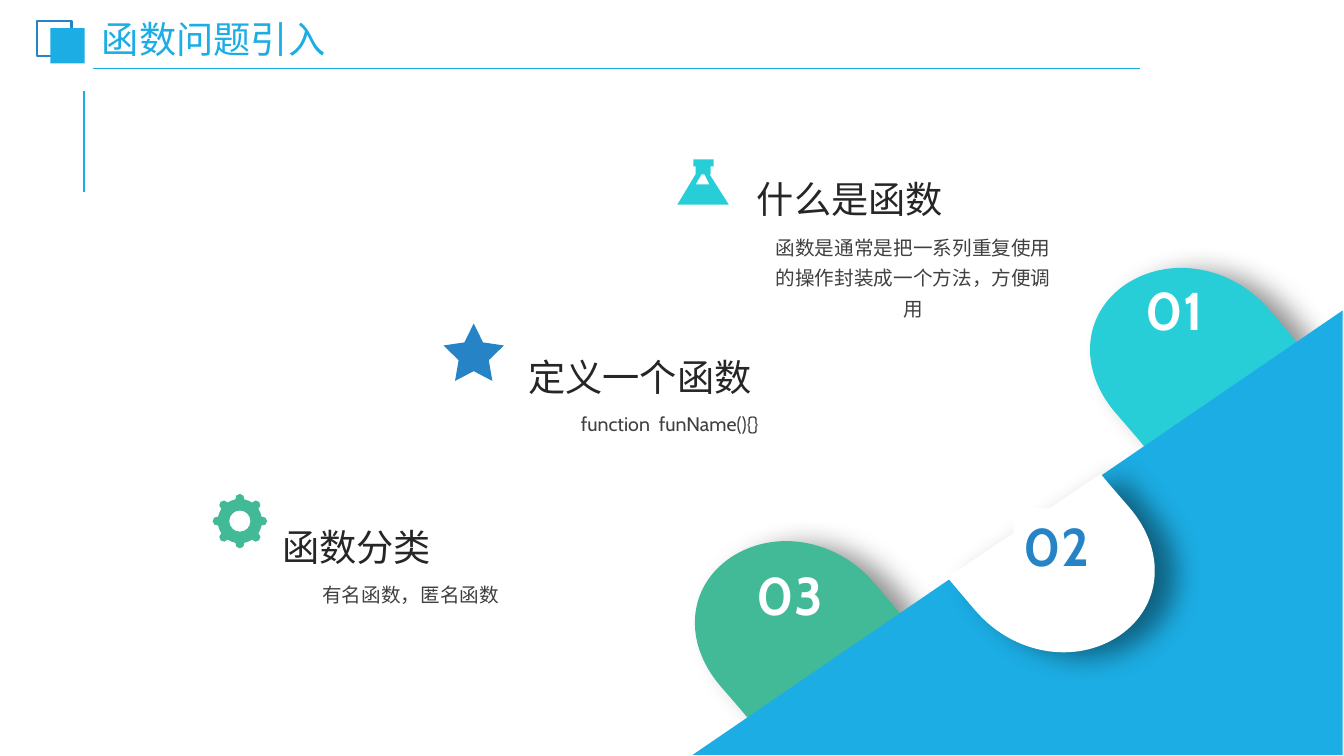
from dataclasses import dataclass
from math import acos, atan2, cos, pi, sin, tan

from lxml.etree import SubElement
from pptx import Presentation
from pptx.dml.color import RGBColor
from pptx.enum.shapes import MSO_CONNECTOR, MSO_SHAPE
from pptx.enum.text import MSO_ANCHOR, MSO_AUTO_SIZE, PP_ALIGN
from pptx.oxml.ns import qn
from pptx.util import Emu, Inches, Pt

PX = 9144  # 100 px to the inch
FONT = "Cabin"
SKY, BLUE, TEAL, GREEN, WHITE = "1CADE4", "2683C6", "27CED7", "42BA97", "FFFFFF"
DARK, GREY = "262626", "404040"

Point = tuple[float, float]
Box = tuple[int, int, int, int]


@dataclass
class Section:
    heading: str
    heading_box: Box
    body: str
    body_box: Box


@dataclass
class Petal:
    corner: Point
    direction: int  # 1 rises above the slope, -1 hangs below it
    color: str
    number: str
    label_at: tuple[int, int]
    label_color: str = WHITE
    label_fill: str | None = None


SECTIONS = [
    Section("什么是函数", (741, 161, 329, 60),
            "函数是通常是把一系列重复使用的操作封装成一个方法，方便调用", (755, 223, 302, 99)),
    Section("定义一个函数", (514, 338, 340, 60),
            "function  funName(){}", (527, 398, 275, 37)),
    Section("函数分类", (270, 506, 355, 60),
            "有名函数，匿名函数", (261, 567, 293, 37)),
]
UPPER_PETALS = [
    Petal((1287, 340), 1, TEAL, "01", (1127, 270)),
    Petal((895, 611), 1, GREEN, "03", (741, 553)),
]
LOWER_PETAL = Petal((940, 573), -1, WHITE, "02", (1006, 504), BLUE, WHITE)

# Corner, then two control points and an end point for each curve
PETAL_CURVES = [
    (0, 0),
    (0, 0), (-27, -32), (-28, -33),
    (-65, -76), (-126, -87), (-170, -58),
    (-213, -29), (-218, 26), (-180, 70),
    (-180, 70), (-152, 102), (-152, 103),
]
FLASK = [(672, 203), (723, 203), (704, 173), (705, 173), (705, 165), (708, 165),
         (708, 158), (688, 158), (688, 165), (690, 165), (690, 173)]
FLASK_WINDOW = [(696, 173), (699, 173), (704, 183), (690, 183)]


def rgb(color: str) -> RGBColor:
    return RGBColor.from_string(color)


def emu(box: Box) -> list[Emu]:
    return [Emu(v * PX) for v in box]


def style(s, fill: str | None, line: str | None = None) -> None:
    s.shadow.inherit = False
    if fill:
        s.fill.solid()
        s.fill.fore_color.rgb = rgb(fill)
    else:
        s.fill.background()
    if line:
        s.line.color.rgb = rgb(line)
        s.line.width = Pt(1.5)
    else:
        s.line.fill.background()


def add_preset(shapes, kind: MSO_SHAPE, box: Box, fill: str | None, line: str | None = None):
    s = shapes.add_shape(kind, *emu(box))
    style(s, fill, line)
    return s


def bend(s) -> None:
    """Turn every three line segments into one cubic curve."""
    segments = list(s._element.iter(qn("a:lnTo")))
    for first, second, third in zip(segments[::3], segments[1::3], segments[2::3]):
        first.tag = qn("a:cubicBezTo")
        for segment in (second, third):
            first.append(segment[0])
            segment.getparent().remove(segment)


def add_outline(shapes, fill: str, *contours: list[Point], curved: bool = False):
    first, *rest = [[(x * PX, y * PX) for x, y in c] for c in contours]
    builder = shapes.build_freeform(*first[0])
    # A curved contour already ends where it must, so no closing line is added to it
    builder.add_line_segments(first[1:], close=not curved)
    for contour in rest:
        builder.move_to(*contour[0])
        builder.add_line_segments(contour[1:], close=not curved)
    s = builder.convert_to_shape()
    if curved:
        bend(s)
    style(s, fill)
    return s


def add_rule(shapes, start: Point, end: Point, width: float) -> None:
    s = shapes.add_connector(MSO_CONNECTOR.STRAIGHT, *emu((*start, *end)))
    s.line.color.rgb = rgb(SKY)
    s.line.width = Pt(width)
    SubElement(s._element.spPr, qn("a:effectLst"))


def write(s, text: str, *, size: float, color: str, align=PP_ALIGN.LEFT, bold=False,
          spacing: float = 1.0, anchor=MSO_ANCHOR.TOP, inset: tuple[int, int] = (10, 5),
          fit=MSO_AUTO_SIZE.SHAPE_TO_FIT_TEXT) -> None:
    tf = s.text_frame
    tf.word_wrap, tf.auto_size, tf.vertical_anchor = True, fit, anchor
    tf.margin_left = tf.margin_right = Emu(inset[0] * PX)
    tf.margin_top = tf.margin_bottom = Emu(inset[1] * PX)
    p = tf.paragraphs[0]
    p.alignment, p.line_spacing, p.space_before = align, spacing, Pt(0)
    r = p.add_run()
    r.text = text
    r.font.name, r.font.size, r.font.bold = FONT, Pt(size), bold
    r.font.color.rgb = rgb(color)


def add_petal(shapes, petal: Petal) -> None:
    (x0, y0), k = petal.corner, petal.direction
    points = [(x0 + k * x, y0 + k * y) for x, y in PETAL_CURVES]
    s = add_outline(shapes, petal.color, points, curved=True)
    effects = s._element.spPr.find(qn("a:effectLst"))
    shadow = SubElement(effects, qn("a:outerShdw"), blurRad=str(Pt(20)), dist=str(Pt(15)),
                        dir=str(12 * 60000), algn="ctr", rotWithShape="0")
    color = SubElement(shadow, qn("a:srgbClr"), val="000000")
    SubElement(color, qn("a:alpha"), val="43000")


def add_label(shapes, petal: Petal) -> None:
    s = shapes.add_textbox(*emu((*petal.label_at, 89, 74)))
    if petal.label_fill:
        style(s, petal.label_fill)
    write(s, petal.number, size=37.9, color=petal.label_color, bold=True)


def arc(cx: float, cy: float, radius: float, start: float, end: float) -> list[Point]:
    """Give the two control points and the end point of a circular arc."""
    k = 4 / 3 * tan((end - start) / 4)
    unit = [
        (cos(start) - k * sin(start), sin(start) + k * cos(start)),
        (cos(end) + k * sin(end), sin(end) - k * cos(end)),
        (cos(end), sin(end)),
    ]
    return [(cx + radius * x, cy + radius * y) for x, y in unit]


def add_gear(shapes, cx: int, cy: int) -> None:
    """Draw a ring with eight round teeth."""
    body, tooth, tooth_at, hole, teeth = 22, 4.5, 22.5, 10.5, 8
    pitch = 2 * pi / teeth
    half = acos((body**2 + tooth_at**2 - tooth**2) / (2 * body * tooth_at))
    sweep = atan2(body * sin(half), body * cos(half) - tooth_at)
    rim = [(cx + body * cos(half), cy - body * sin(half))]
    for i in range(teeth):
        a = i * pitch
        tx, ty = cx + tooth_at * cos(a), cy + tooth_at * sin(a)
        rim += arc(tx, ty, tooth, a - sweep, a)
        rim += arc(tx, ty, tooth, a, a + sweep)
        rim += arc(cx, cy, body, a + half, a + pitch - half)
    bore = [(cx + hole, cy)]
    for i in range(4):
        bore += arc(cx, cy, hole, -i * pi / 2, -(i + 1) * pi / 2)
    add_outline(shapes, GREEN, rim, bore, curved=True)


def main() -> None:
    prs = Presentation()
    prs.slide_width, prs.slide_height = Inches(40 / 3), Inches(7.5)
    slide = prs.slides.add_slide(prs.slide_layouts[5])
    shapes = slide.shapes

    title = shapes.title
    title.left, title.top, title.width, title.height = emu((94, 23, 393, 37))
    write(title, "函数问题引入", size=26.6, color=SKY, spacing=0.9, inset=(7, 4),
          anchor=MSO_ANCHOR.MIDDLE, fit=MSO_AUTO_SIZE.NONE)
    add_rule(shapes, (83, 190), (83, 90), 1.5)
    add_rule(shapes, (92, 68), (1131, 68), 1.25)
    add_preset(shapes, MSO_SHAPE.RECTANGLE, (37, 21, 34, 35), None, BLUE)
    add_preset(shapes, MSO_SHAPE.RECTANGLE, (50, 28, 34, 35), SKY)

    for petal in UPPER_PETALS:
        add_petal(shapes, petal)
    add_outline(shapes, SKY, [(687, 749), (1332, 749), (1332, 308)])
    add_petal(shapes, LOWER_PETAL)

    add_outline(shapes, TEAL, FLASK, FLASK_WINDOW)
    star = add_preset(shapes, MSO_SHAPE.STAR_5_POINT, (440, 321, 60, 57), BLUE)
    star.adjustments[0] = 0.25
    add_gear(shapes, 238, 517)

    for section in SECTIONS:
        write(shapes.add_textbox(*emu(section.body_box)), section.body, size=14, color=GREY,
              align=PP_ALIGN.CENTER, spacing=1.3, inset=(9, 4))
        write(shapes.add_textbox(*emu(section.heading_box)), section.heading, size=26.6,
              color=DARK, align=PP_ALIGN.JUSTIFY, spacing=1.2)
    for petal in (*UPPER_PETALS, LOWER_PETAL):
        add_label(shapes, petal)

    prs.save("out.pptx")


if __name__ == "__main__":
    main()
